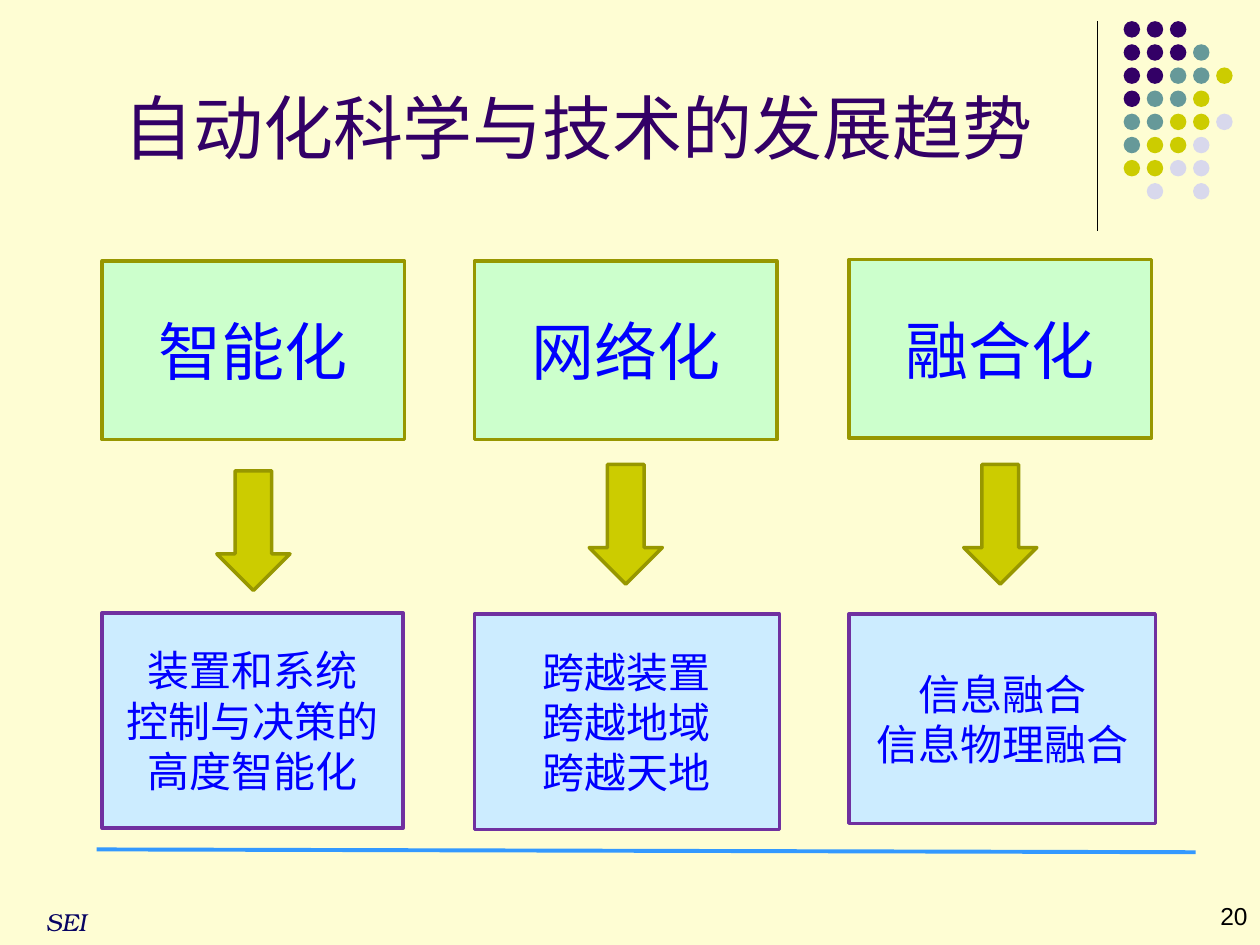
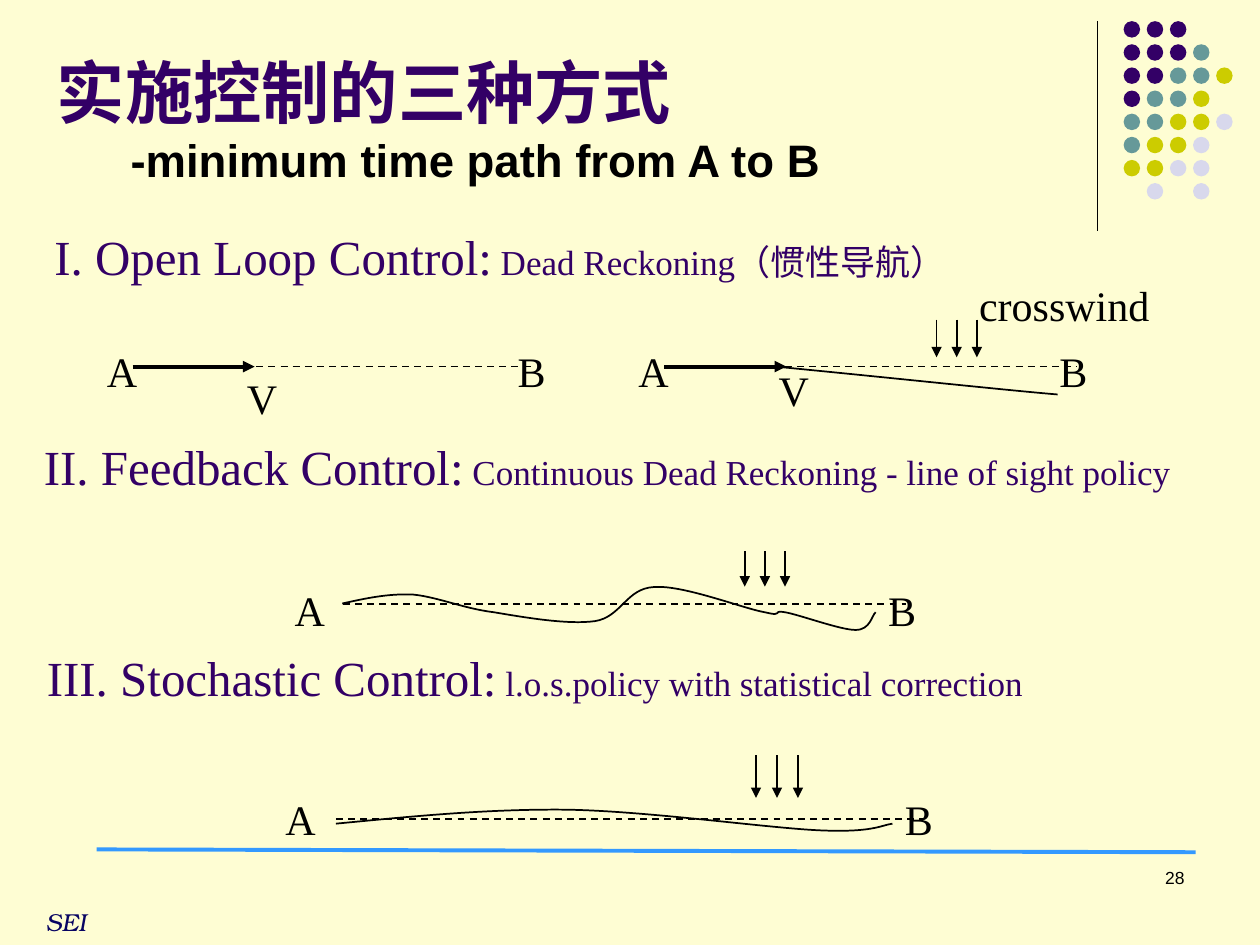
from lxml.etree import SubElement
from pptx import Presentation
from pptx.dml.color import RGBColor
from pptx.enum.dml import MSO_LINE
from pptx.enum.shapes import MSO_CONNECTOR, MSO_SHAPE
from pptx.enum.text import MSO_ANCHOR, PP_ALIGN
from pptx.oxml.ns import qn
from pptx.util import Pt

# Colours
CREAM = RGBColor(0xFE, 0xFD, 0xD3)
BLACK = RGBColor(0, 0, 0)
PURPLE = RGBColor(0x33, 0x00, 0x66)
TEAL = RGBColor(0x66, 0x99, 0x99)
YELLOW = RGBColor(0xCC, 0xCC, 0x00)
LAVENDER = RGBColor(0xD8, 0xD8, 0xEC)
NAVY = RGBColor(0x08, 0x04, 0x62)
SKY_BLUE = RGBColor(0x33, 0x99, 0xFF)
BLUE = RGBColor(0, 0, 0xFF)
PALE_GREEN = RGBColor(0xCC, 0xFF, 0xCC)
OLIVE = RGBColor(0x97, 0x97, 0x00)
PALE_BLUE = RGBColor(0xCC, 0xEC, 0xFF)
VIOLET = RGBColor(0x70, 0x30, 0xA0)

# Fonts
CHINESE = "Noto Sans CJK SC"
SANS = "Arial"
SERIF = "Times New Roman"
FOOTER_SERIF = "TeX Gyre Bonum"

# Corner dots, one letter per dot
DOT_ROWS = ["PPP", "PPPT", "PPTTY", "PTTY", "TTYYL", "TYYL", "YYLL", " L L"]
DOT_COLORS = {"P": PURPLE, "T": TEAL, "Y": YELLOW, "L": LAVENDER}
DOT_SIZE, DOT_STEP = 9.4, 13.22

# Heading, left, heading top, arrow top, box top, box width, box height, box lines
TRENDS = [
    ("智能化", 58.4, 149.2, 269, 350.2, 172, 123, ["装置和系统", "控制与决策的高度智能化"]),
    ("网络化", 271.2, 149.2, 265.4, 350.9, 174.2, 123, ["跨越装置", "跨越地域", "跨越天地"]),
    ("融合化", 485.2, 148.4, 265.4, 350.9, 175, 119.6, ["信息融合", "信息物理融合"]),
]

# Curves: start point, then two control points and an end point per piece
DRIFT_CURVE = [(443.5, 209.5), (510.5, 216), (577.4, 223.2), (604.4, 225.4)]
FEEDBACK_CURVE = [
    (195.6, 344.9),
    (208.8, 342), (221.8, 339.1), (236.2, 339.8),
    (250.6, 341.3), (265, 347.8), (282.2, 349.9),
    (299.5, 352.8), (324, 357.1), (339.8, 355),
    (355, 352.8), (357.8, 336.2), (373.7, 335.5),
    (390.2, 334.1), (424.8, 347.8), (437, 349.9),
    (449.3, 352.8), (439.9, 348.5), (448.6, 349.9),
    (457.2, 351.4), (480.2, 360), (488.9, 360),
    (497.5, 360), (498.2, 351.4), (500.4, 349.9),
]
STOCHASTIC_CURVE = [
    (192, 470.7),
    (234.7, 466.6), (277.9, 462.2), (324, 462.7),
    (370.1, 463.5), (437, 473), (468, 474.5),
    (499, 475.9), (503.3, 471.6), (510, 470.7),
]


# Basic elements
def style(paragraph, font_name, size, color, align=PP_ALIGN.LEFT, bold=False, italic=False):
    paragraph.alignment = align
    font = paragraph.font
    font.name, font.size, font.bold, font.italic = font_name, Pt(size), bold, italic
    font.color.rgb = color
    properties = paragraph._p.pPr.find(qn("a:defRPr"))
    SubElement(properties, qn("a:ea")).set("typeface", CHINESE)


def add_text(slide, box, text, font_name, size, color, align=PP_ALIGN.LEFT,
             anchor=MSO_ANCHOR.TOP, wrap=True, bold=False, italic=False):
    shape = slide.shapes.add_textbox(*map(Pt, box))
    frame = shape.text_frame
    frame.word_wrap = wrap
    frame.vertical_anchor = anchor
    paragraph = frame.paragraphs[0]
    paragraph.text = text
    style(paragraph, font_name, size, color, align, bold, italic)
    return frame


def add_block(slide, kind, box, fill, line=None):
    shape = slide.shapes.add_shape(kind, *map(Pt, box))
    shape.shadow.inherit = False
    shape.fill.solid()
    shape.fill.fore_color.rgb = fill
    if line is None:
        shape.line.fill.background()
    else:
        shape.line.color.rgb = line
        shape.line.width = Pt(2)
    return shape


def fill_block(shape, lines, size, spacing=None):
    frame = shape.text_frame
    frame.word_wrap = True
    frame.vertical_anchor = MSO_ANCHOR.MIDDLE
    frame.text = "\n".join(lines)
    for paragraph in frame.paragraphs:
        style(paragraph, CHINESE, size, BLUE, PP_ALIGN.CENTER)
        if spacing:
            paragraph.line_spacing = Pt(spacing)


def add_line(slide, start, end, width=1, color=BLACK, dashed=False, arrow=False):
    connector = slide.shapes.add_connector(MSO_CONNECTOR.STRAIGHT, *map(Pt, start + end))
    connector.line.color.rgb = color
    connector.line.width = Pt(width)
    if dashed:
        connector.line.dash_style = MSO_LINE.DASH
    if arrow:
        SubElement(connector.line._get_or_add_ln(), qn("a:tailEnd")).set("type", "triangle")
    SubElement(connector._element.spPr, qn("a:effectLst"))


def add_curve(slide, points):
    builder = slide.shapes.build_freeform(*map(Pt, points[0]))
    builder.add_line_segments([tuple(map(Pt, point)) for point in points[1:]], close=False)
    shape = builder.convert_to_shape()
    # Join every three straight segments into one Bézier piece
    segments = list(shape._element.iter(qn("a:lnTo")))
    outline = segments[0].getparent()
    for first in range(0, len(segments), 3):
        piece = SubElement(outline, qn("a:cubicBezTo"))
        for segment in segments[first:first + 3]:
            piece.append(segment[0])
            outline.remove(segment)
    shape.shadow.inherit = False
    shape.fill.background()
    shape.line.color.rgb = BLACK
    shape.line.width = Pt(1)


# Shared slide frame
def add_framed_slide(presentation):
    slide = presentation.slides.add_slide(presentation.slide_layouts[6])
    slide.background.fill.solid()
    slide.background.fill.fore_color.rgb = CREAM
    add_line(slide, (627, 12), (627, 132), 0.75)
    for row, letters in enumerate(DOT_ROWS):
        for column, letter in enumerate(letters):
            if letter in DOT_COLORS:
                box = (642.1 + column * DOT_STEP, 12.1 + row * DOT_STEP, DOT_SIZE, DOT_SIZE)
                add_block(slide, MSO_SHAPE.OVAL, box, DOT_COLORS[letter])
    add_text(slide, (18.3, 514.8, 38.9, 23.8), "SEI", FOOTER_SERIF, 14, NAVY,
             PP_ALIGN.CENTER, wrap=False, italic=True)
    add_line(slide, (55.2, 485.4), (683.2, 487), 2.25, SKY_BLUE)
    return slide


def add_page_number(slide, box, number, size):
    add_text(slide, box, number, SANS, size, BLACK, PP_ALIGN.RIGHT)


# Trend slide
def add_trend(slide, heading, left, heading_top, arrow_top, top, width, height, lines):
    box = add_block(slide, MSO_SHAPE.RECTANGLE, (left, heading_top, 172.8, 102), PALE_GREEN, OLIVE)
    fill_block(box, [heading], 36)
    add_block(slide, MSO_SHAPE.DOWN_ARROW, (left + 65.5, arrow_top, 41.8, 68.4), YELLOW, OLIVE)
    box = add_block(slide, MSO_SHAPE.RECTANGLE, (left, top, width, height), PALE_BLUE, VIOLET)
    fill_block(box, lines, 24, 28.8)


def build_trend_slide(presentation):
    slide = add_framed_slide(presentation)
    add_text(slide, (56.6, 43.2, 547.2, 56.9), "自动化科学与技术的发展趋势", CHINESE, 40,
             PURPLE, PP_ALIGN.CENTER, MSO_ANCHOR.BOTTOM)
    for trend in TRENDS:
        add_trend(slide, *trend)
    add_page_number(slide, (666, 511.2, 54, 24.5), "20", 14)


# Control slide
def add_label(slide, text, left, top, width=42):
    add_text(slide, (left, top, width, 36), text, SERIF, 24, BLACK)


def add_method(slide, left, top, name, detail):
    frame = add_text(slide, (left, top, 672, 41), name, SERIF, 28, PURPLE)
    run = frame.paragraphs[0].add_run()
    run.text = " " + detail
    run.font.size = Pt(20)


def add_wind(slide, left, step, top, bottom):
    for index in range(3):
        x = left + index * step
        add_line(slide, (x, top), (x, bottom), arrow=True)


def add_route(slide, start, end, line_y, a_left, b_left, label_top):
    add_line(slide, (start, line_y), (end, line_y), dashed=True)
    add_label(slide, "A", a_left, label_top)
    add_label(slide, "B", b_left, label_top)


def add_open_loop(slide, left, start, b_left, velocity_top):
    line_y, arrow_start = 209.5, left + 21.8
    add_route(slide, start, b_left + 17.3, line_y, left, b_left, 193.7)
    add_line(slide, (arrow_start, line_y), (left + 91.5, line_y), 2.25, arrow=True)
    add_label(slide, "V", left + 80, velocity_top, 29)


def build_control_slide(presentation):
    slide = add_framed_slide(presentation)
    add_page_number(slide, (516.2, 491.8, 167.8, 36), "28", 10)
    title = add_text(slide, (25.5, 20.2, 612, 90), "实施控制的三种方式", SANS, 39, PURPLE,
                     anchor=MSO_ANCHOR.BOTTOM, bold=True)
    subtitle = title.add_paragraph()
    subtitle.text = "-minimum time path from A to B"
    style(subtitle, SANS, 26, BLACK, bold=True)
    subtitle._p.pPr.set("marL", str(Pt(42)))

    # Open loop, without and with crosswind
    add_method(slide, 24, 126, "I. Open Loop Control:", "Dead Reckoning（惯性导航）")
    add_open_loop(slide, 54, 77, 288.7, 209.5)
    add_open_loop(slide, 357.8, 385.9, 598.3, 204.5)
    add_wind(slide, 535.2, 11.5, 182.6, 204.2)
    add_label(slide, "crosswind", 552.4, 156.2, 137.5)
    add_curve(slide, DRIFT_CURVE)

    # Feedback
    add_method(slide, 18, 246.2, "II. Feedback Control:",
               "Continuous Dead Reckoning - line of sight policy")
    add_route(slide, 195.8, 517.7, 345.1, 161.3, 500.4, 330.5)
    add_curve(slide, FEEDBACK_CURVE)
    add_wind(slide, 425.6, 11.5, 315, 335.2)

    # Stochastic
    add_method(slide, 19.7, 366.5, "III. Stochastic Control:",
               "l.o.s.policy with statistical correction")
    add_route(slide, 192, 528, 468, 156, 510, 450)
    add_curve(slide, STOCHASTIC_CURVE)
    add_wind(slide, 432, 12, 431.7, 456)


def main():
    presentation = Presentation()
    presentation.slide_width, presentation.slide_height = Pt(720), Pt(540)
    build_trend_slide(presentation)
    build_control_slide(presentation)
    presentation.save("out.pptx")


if __name__ == "__main__":
    main()
